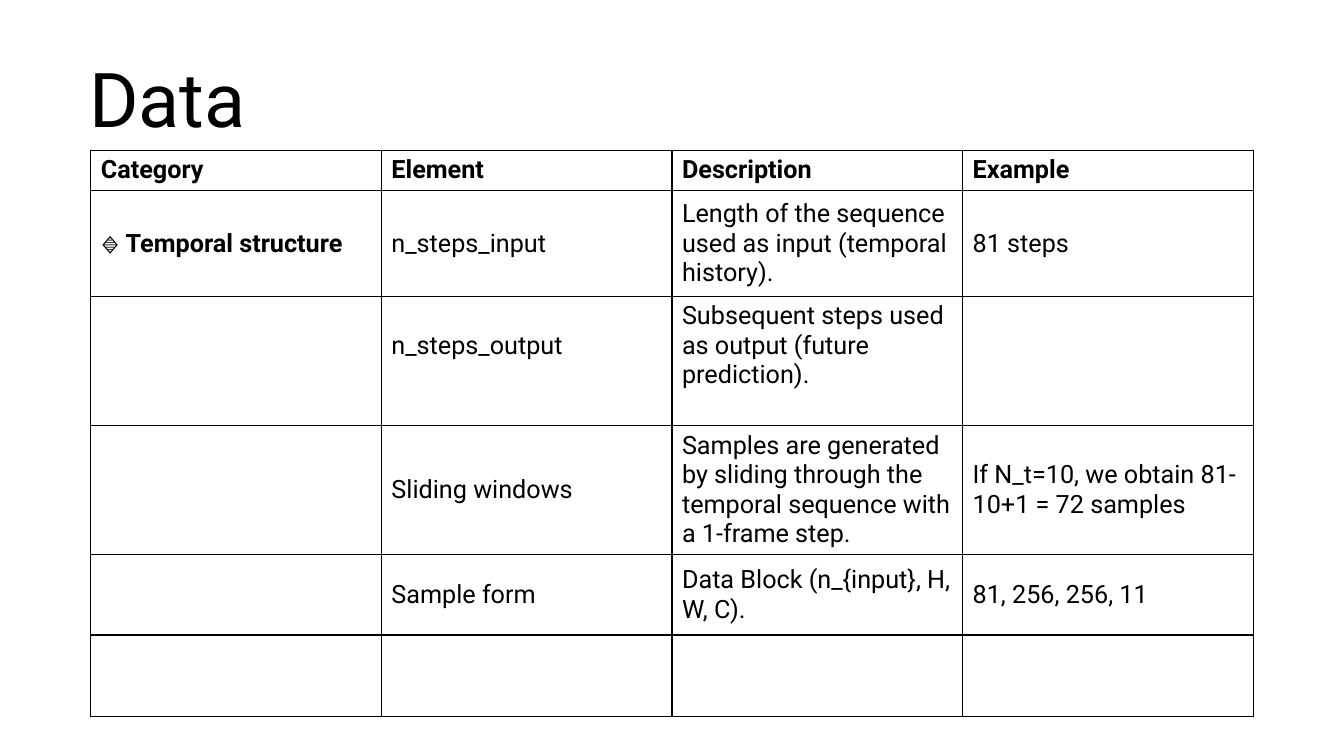
from dataclasses import dataclass

from lxml.etree import SubElement
from pptx import Presentation
from pptx.dml.color import RGBColor
from pptx.enum.text import MSO_ANCHOR, MSO_AUTO_SIZE, PP_ALIGN
from pptx.oxml.ns import qn
from pptx.util import Inches, Pt


@dataclass(frozen=True)
class Theme:
    font: str = "Roboto"
    ink: str = "000000"
    paper: str = "FFFFFF"
    title: int = 54
    body: int = 18
    rule: int = 1


THEME = Theme()
WIDE, HIGH = 13.33, 7.5

# Table grid, in inches
LEFT, TOP, SPAN = 0.9, 1.49, 11.53
ROWS = [0.4, 1.05, 1.27, 1.28, 0.8, 0.81]
LIFTED, LIFT = 2, 0.35  # row whose text sits higher, and its bottom margin

# Each cell is a list of (text, bold) runs
HEAD = ["Category", "Element", "Description", "Example"]
BODY = [
    ["n_steps_input", "Length of the sequence used as input (temporal history).",
     "81 steps"],
    ["n_steps_output", "Subsequent steps used as output (future prediction).", ""],
    ["Sliding windows",
     "Samples are generated by sliding through the temporal sequence "
     "with a 1-frame step.",
     "If N_t=10, we obtain 81-10+1 = 72 samples"],
    ["Sample form", "Data Block (n_{input}, H, W, C).", "81, 256, 256, 11"],
    ["", "", ""],
]
GROUP = [("🔹 ", False), ("Temporal structure", True)]


def style(para, size, bold=False):
    font = para.font
    font.name, font.size, font.bold = THEME.font, Pt(size), bold
    font.color.rgb = RGBColor.from_string(THEME.ink)


def add_title(slide, text):
    box = slide.shapes.title
    box.left, box.top = Inches(0.59), Inches(0.52)
    box.width, box.height = Inches(2.14), Inches(0.96)
    frame = box.text_frame
    frame.auto_size = MSO_AUTO_SIZE.NONE
    frame.vertical_anchor = MSO_ANCHOR.BOTTOM
    frame.text = text
    para = frame.paragraphs[0]
    para.alignment, para.line_spacing = PP_ALIGN.CENTER, 0.9
    style(para, THEME.title)


def add_rules(cell):
    props = cell._tc.get_or_add_tcPr()
    for side in ("lnL", "lnR", "lnT", "lnB"):
        line = SubElement(props, qn(f"a:{side}"), w=str(Pt(THEME.rule)))
        fill = SubElement(line, qn("a:solidFill"))
        SubElement(fill, qn("a:srgbClr"), val=THEME.ink)


def fill_cell(cell, runs, bold):
    add_rules(cell)
    cell.fill.background()
    cell.vertical_anchor = MSO_ANCHOR.MIDDLE
    para = cell.text_frame.paragraphs[0]
    style(para, THEME.body, bold)
    for text, heavy in runs:
        run = para.add_run()
        run.text = text
        if heavy != bold:
            run.font.bold = heavy


def add_grid(slide, cells):
    count = len(HEAD)
    table = slide.shapes.add_table(
        len(cells), count, Inches(LEFT), Inches(TOP),
        Inches(SPAN), Inches(sum(ROWS))).table
    table.first_row = table.horz_banding = False
    for col in table.columns:
        col.width = Inches(SPAN / count)
    for row, high in zip(table.rows, ROWS):
        row.height = Inches(high)
    for r, line in enumerate(cells):
        for c, runs in enumerate(line):
            cell = table.cell(r, c)
            fill_cell(cell, runs, bold=r == 0)
            if r == LIFTED:
                cell.margin_bottom = Inches(LIFT)


def main():
    deck = Presentation()
    deck.slide_width, deck.slide_height = Inches(WIDE), Inches(HIGH)
    slide = deck.slides.add_slide(deck.slide_layouts[5])
    back = slide.background.fill
    back.solid()
    back.fore_color.rgb = RGBColor.from_string(THEME.paper)

    # Title
    add_title(slide, "Data")

    # Table: header row, then the group label on the first body row only
    cells = [[[(text, True)] for text in HEAD]]
    for i, line in enumerate(BODY):
        plain = [[(text, False)] if text else [] for text in line]
        cells.append([[] if i else GROUP] + plain)
    add_grid(slide, cells)

    deck.save("out.pptx")


if __name__ == "__main__":
    main()
